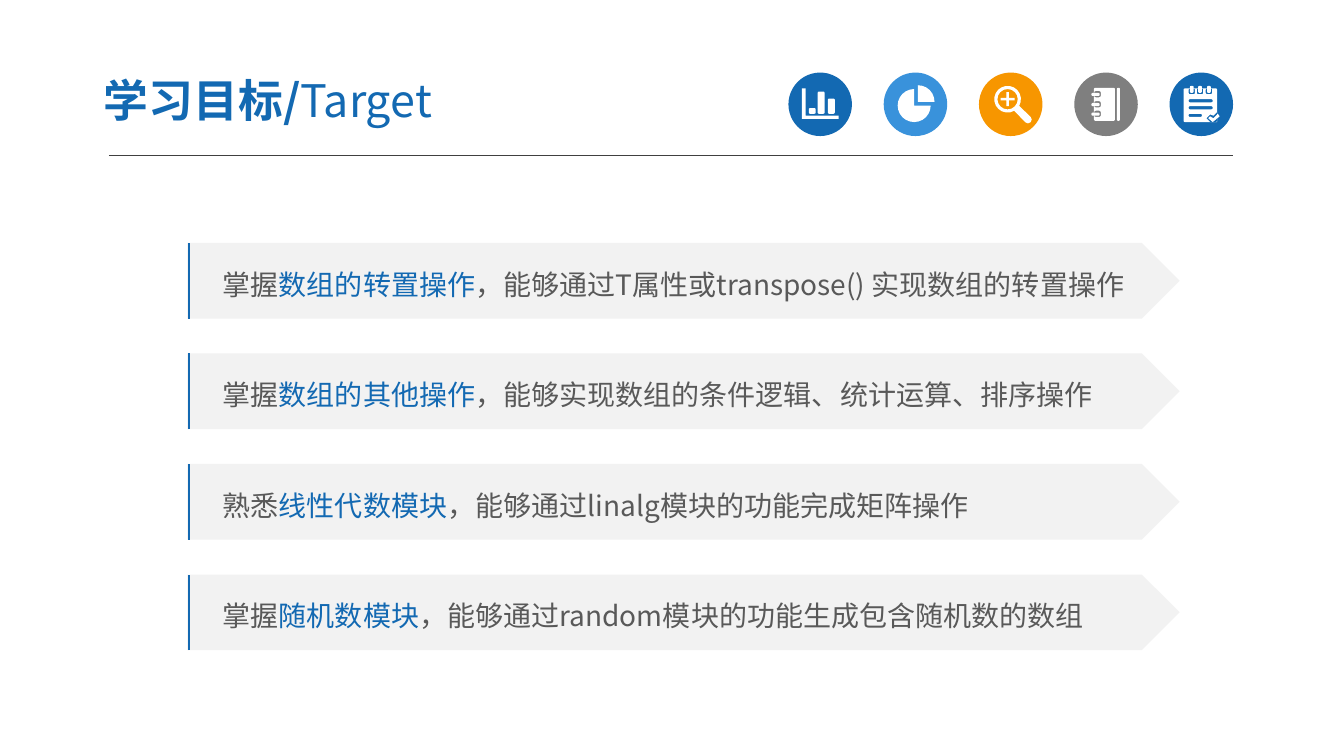
from math import cos, radians, sin

from lxml import etree
from pptx import Presentation
from pptx.dml.color import RGBColor
from pptx.enum.shapes import MSO_CONNECTOR, MSO_SHAPE
from pptx.enum.text import MSO_ANCHOR, MSO_AUTO_SIZE, PP_ALIGN
from pptx.oxml.ns import qn
from pptx.util import Inches, Pt

OVAL = MSO_SHAPE.OVAL
ARROW = MSO_SHAPE.PENTAGON
STRAIGHT = MSO_CONNECTOR.STRAIGHT
MIDDLE = MSO_ANCHOR.MIDDLE
LEFT = PP_ALIGN.LEFT
FIXED = MSO_AUTO_SIZE.NONE

BLUE = RGBColor(0x13, 0x69, 0xB2)
SKY = RGBColor(0x39, 0x92, 0xDB)
ORANGE = RGBColor(0xF7, 0x96, 0x00)
GRAY = RGBColor(0x7F, 0x7F, 0x7F)
COAL = RGBColor(0x40, 0x40, 0x40)
PALE = RGBColor(0xF2, 0xF2, 0xF2)
DARK = RGBColor(0x59, 0x59, 0x59)
WHITE = RGBColor(0xFF, 0xFF, 0xFF)

FONT = "Noto Sans CJK SC"
WIDTH, HEIGHT = 13.33, 7.5
GOALS = [
    ("掌握", "数组的转置操作", "，能够通过T属性或transpose() 实现数组的转置操作"),
    ("掌握", "数组的其他操作", "，能够实现数组的条件逻辑、统计运算、排序操作"),
    ("熟悉", "线性代数模块", "，能够通过linalg模块的功能完成矩阵操作"),
    ("掌握", "随机数模块", "，能够通过random模块的功能生成包含随机数的数组"),
]


def paint(shape, color):
    shape.shadow.inherit = False
    shape.fill.solid()
    shape.fill.fore_color.rgb = color
    shape.line.fill.background()
    return shape


def plain(group, kind, box, color):
    return paint(group.shapes.add_shape(kind, *map(Inches, box)), color)


def arc(x, y, r, start, end, count=12):
    turns = [radians(start + (end - start) * i / count) for i in range(count + 1)]
    return [(x + r * cos(t), y + r * sin(t)) for t in turns]


def slot(x, y, w, h, r=0.02):
    return (arc(x + r, y + r, r, 180, 270, 2) + arc(x + w - r, y + r, r, 270, 360, 2)
            + arc(x + w - r, y + h - r, r, 0, 90, 2) + arc(x + r, y + h - r, r, 90, 180, 2))


def chart():
    axis = [(0.21, 0.25), (0.27, 0.25), (0.27, 0.68), (0.79, 0.68), (0.79, 0.73), (0.21, 0.73)]
    bars = ((0.32, 0.56), (0.46, 0.3), (0.62, 0.41))
    return [axis] + [slot(x, y, 0.11, 0.65 - y) for x, y in bars]


def pie():
    return [arc(0.48, 0.52, 0.26, 0, 270, 18) + [(0.48, 0.52)],
            arc(0.54, 0.46, 0.26, -90, 0, 6) + [(0.54, 0.46)]]


def lens():
    x, y = 0.45, 0.42
    a, b = 0.02, 0.11
    plus = [(-a, -b), (a, -b), (a, -a), (b, -a), (b, a), (a, a),
            (a, b), (-a, b), (-a, a), (-b, a), (-b, -a), (-a, -a)]
    return [arc(x, y, 0.21, 60, 390, 18) + arc(0.77, 0.74, 0.06, -45, 135, 4),
            arc(x, y, 0.16, 0, 360, 16),
            [(x + dx, y + dy) for dx, dy in plus]]


def book():
    loops = []
    for y in (0.34, 0.5, 0.65):
        loops += [slot(0.31, y - 0.05, 0.11, 0.1, 0.03), slot(0.27, y - 0.02, 0.13, 0.05)]
    return [slot(0.31, 0.24, 0.33, 0.52), slot(0.67, 0.24, 0.05, 0.52)] + loops


def note():
    loops = []
    for x in (0.35, 0.48, 0.62):
        loops += [slot(x - 0.05, 0.25, 0.1, 0.09), slot(x - 0.03, 0.21, 0.06, 0.11)]
    lines = [slot(0.3, y, w, 0.05) for y, w in ((0.42, 0.38), (0.53, 0.38), (0.65, 0.21))]
    notch = [(0.58, 0.72), (0.64, 0.66), (0.69, 0.68), (0.75, 0.62), (0.75, 0.78), (0.64, 0.78)]
    tick = [(0.61, 0.72), (0.64, 0.69), (0.69, 0.72), (0.76, 0.65), (0.79, 0.69), (0.68, 0.78)]
    return [slot(0.22, 0.25, 0.53, 0.53)] + loops + lines + [notch, tick]


def icon(slide, box, parts, color):
    group = slide.shapes.add_group_shape()
    plain(group, OVAL, box, color)
    left, top, side, _ = box
    form = None
    for loop in parts:
        spots = [(Inches(left + x * side), Inches(top + y * side)) for x, y in loop]
        if form is None:
            form = group.shapes.build_freeform(*spots[0])
        else:
            form.move_to(*spots[0])
        form.add_line_segments(spots[1:])
    paint(form.convert_to_shape(), WHITE)


def icons(slide, box):
    left, top, width, side = box
    step = (width - side) / 4
    kinds = ((chart, BLUE), (pie, SKY), (lens, ORANGE), (book, GRAY), (note, BLUE))
    for i, (draw, color) in enumerate(kinds):
        icon(slide, (left + i * step, top, side, side), draw(), color)


def rule(slide, start, end):
    line = slide.shapes.add_connector(STRAIGHT, *map(Inches, start + end))
    line.line.color.rgb = COAL
    line.line.width = Pt(0.75)
    etree.SubElement(line._element.spPr, qn("a:effectLst"))


def edge(group, box):
    left, top, width, height = map(Inches, box)
    form = group.shapes.build_freeform(left, top + height)
    form.add_line_segments([(left, top)], close=False)
    form.move_to(left + width, top)
    line = form.convert_to_shape()
    line.shadow.inherit = False
    line.fill.background()
    line.line.color.rgb = BLUE
    line.line.width = Pt(1.5)


def write(para, text, size, color, bold=False):
    run = para.add_run()
    run.text = text
    run.font.size = Pt(size)
    run.font.bold = bold
    run.font.color.rgb = color
    run.font.name = FONT
    etree.SubElement(run.font._element, qn("a:ea"), typeface=FONT)


def head(slide, box):
    title = slide.shapes.title
    title.left, title.top, title.width, title.height = map(Inches, box)
    frame = title.text_frame
    frame.auto_size = FIXED
    frame.word_wrap = True
    frame.vertical_anchor = MIDDLE
    frame.margin_left = frame.margin_right = Inches(0.13)
    frame.margin_top = frame.margin_bottom = Inches(0.07)
    para = frame.paragraphs[0]
    para.alignment = LEFT
    write(para, "学习目标/", 32, BLUE, True)
    write(para, "Target", 32, BLUE)


def goal(slide, box, texts):
    group = slide.shapes.add_group_shape()
    plate = plain(group, ARROW, box, PALE)
    left, top, _, height = box
    edge(group, (left + 0.01, top, 0.15, height))
    frame = plate.text_frame
    frame.word_wrap = True
    frame.vertical_anchor = MIDDLE
    frame.margin_left, frame.margin_right = Inches(0.35), 0
    para = frame.paragraphs[0]
    para.alignment = LEFT
    para.line_spacing = 1.2
    for text, color in zip(texts, (DARK, BLUE, DARK)):
        write(para, text, 20, color)


def goals(slide, box):
    left, top, width, height = box
    tall = 0.75
    step = (height - tall) / (len(GOALS) - 1)
    for i, texts in enumerate(GOALS):
        goal(slide, (left, top + i * step, width, tall), texts)


def main():
    deck = Presentation()
    deck.slide_width, deck.slide_height = Inches(WIDTH), Inches(HEIGHT)
    slide = deck.slides.add_slide(deck.slide_layouts[5])
    rule(slide, (1.08, 1.54), (12.23, 1.54))
    icons(slide, (7.82, 0.72, 4.41, 0.63))
    head(slide, (0.9, 0.63, 5.22, 0.72))
    goals(slide, (1.86, 2.41, 9.84, 4.04))
    deck.save("out.pptx")


if __name__ == "__main__":
    main()
